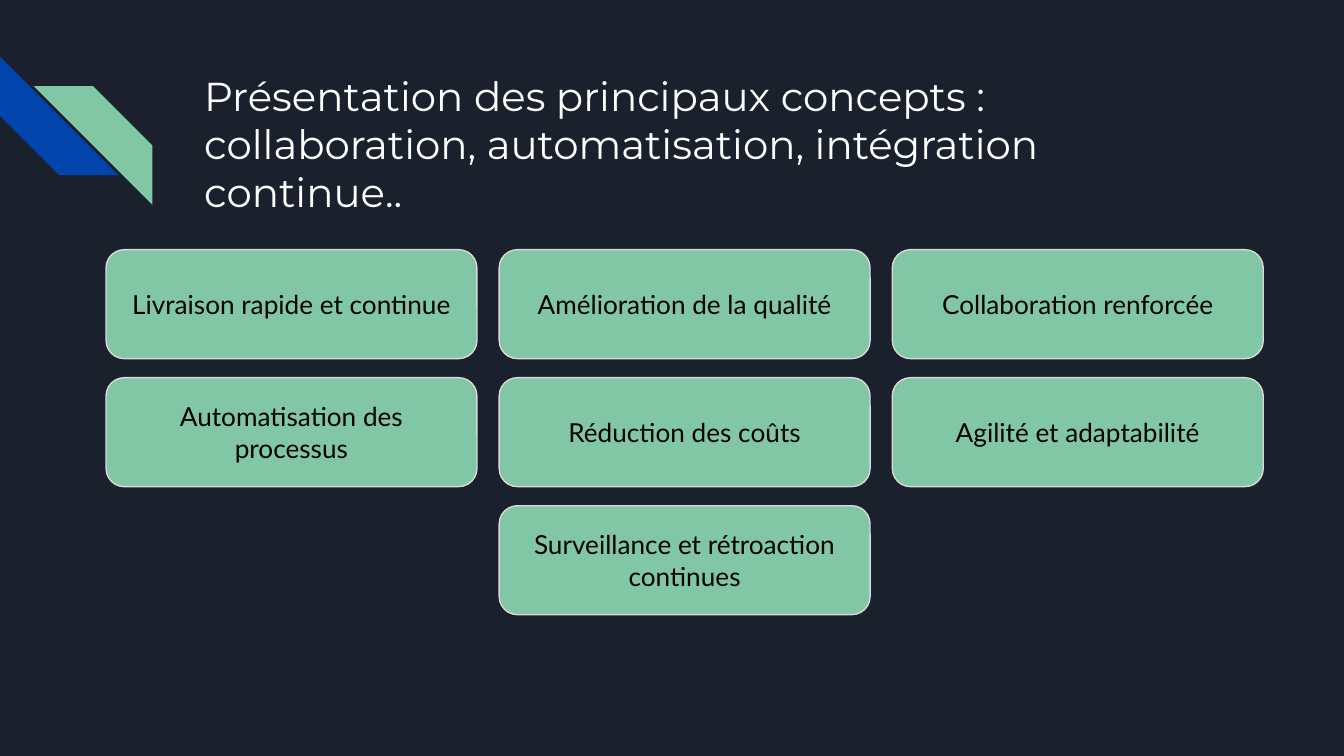
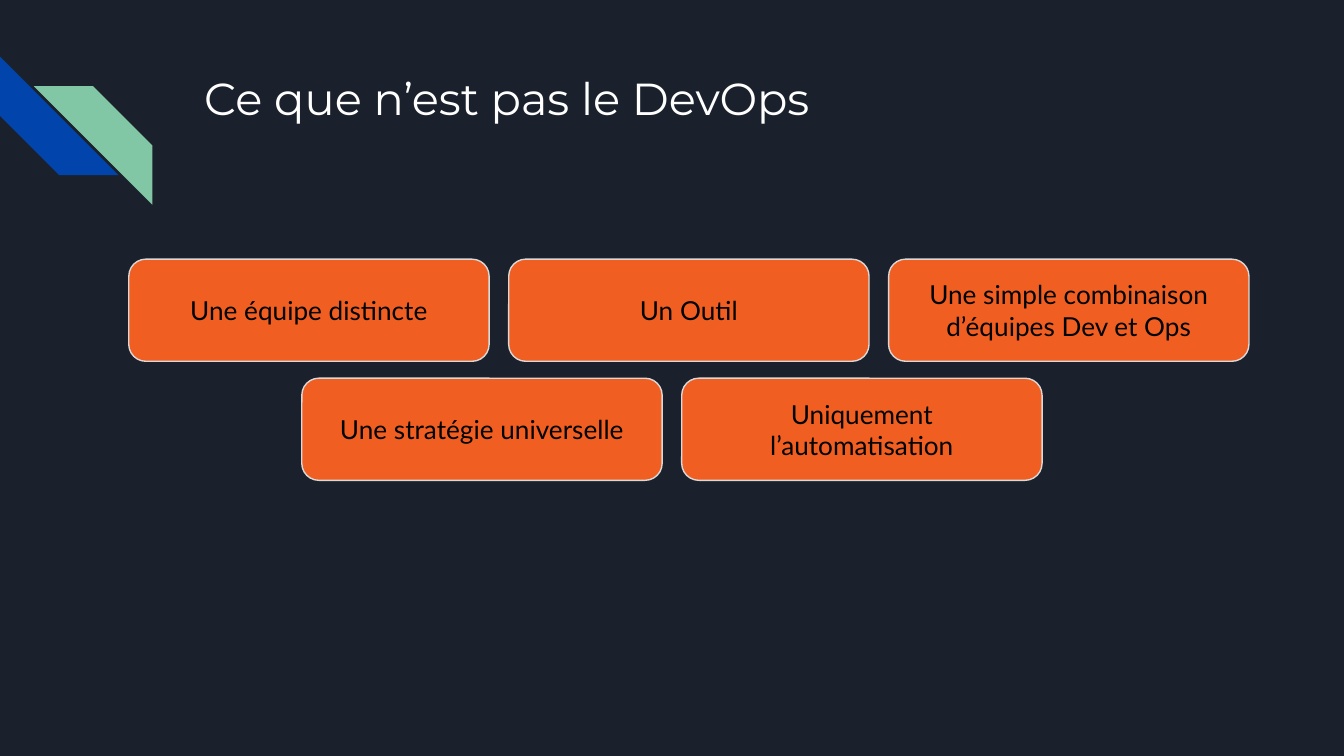
from dataclasses import dataclass

from pptx import Presentation
from pptx.dml.color import RGBColor
from pptx.enum.shapes import MSO_SHAPE
from pptx.enum.text import MSO_ANCHOR, MSO_AUTO_SIZE, PP_ALIGN
from pptx.util import Cm, Pt


@dataclass(frozen=True)
class Theme:
    background: RGBColor = RGBColor(0x1B, 0x21, 0x2C)
    blue: RGBColor = RGBColor(0x01, 0x45, 0xAC)
    green: RGBColor = RGBColor(0x82, 0xC7, 0xA5)
    orange: RGBColor = RGBColor(0xF1, 0x5E, 0x22)
    outline: RGBColor = RGBColor(0xD9, 0xD9, 0xD9)
    white: RGBColor = RGBColor(0xFF, 0xFF, 0xFF)
    black: RGBColor = RGBColor(0, 0, 0)
    title_font: str = "Montserrat"
    body_font: str = "Lato"
    title_size: float = 24
    long_title_size: float = 21.6
    card_size: float = 14


THEME = Theme()


@dataclass(frozen=True)
class CardGrid:
    """Card sizes and spacing, in centimetres."""
    top: float
    width: float
    height: float
    column_gap: float
    row_gap: float


def write_text(shape, text, *, font, size, color, align, anchor):
    frame = shape.text_frame
    frame.word_wrap = True
    frame.auto_size = MSO_AUTO_SIZE.NONE
    frame.vertical_anchor = anchor
    frame.margin_left = frame.margin_right = Cm(0.25)
    frame.margin_top = frame.margin_bottom = Cm(0.25)
    paragraph = frame.paragraphs[0]
    paragraph.alignment = align
    run = paragraph.add_run()
    run.text = text
    run.font.name = font
    run.font.size = Pt(size)
    run.font.color.rgb = color


def add_filled_shape(slide, kind, left, top, width, height, fill):
    shape = slide.shapes.add_shape(kind, Cm(left), Cm(top), Cm(width), Cm(height))
    shape.shadow.inherit = False
    shape.fill.solid()
    shape.fill.fore_color.rgb = fill
    shape.line.fill.background()
    return shape


def add_stripes(slide):
    side = 2.24
    blue = add_filled_shape(slide, MSO_SHAPE.DIAGONAL_STRIPE, 0, 1.07, side, side, THEME.blue)
    blue.rotation = 270
    green = add_filled_shape(slide, MSO_SHAPE.DIAGONAL_STRIPE, 0.64, 1.63, side, side, THEME.green)
    green.element.spPr.xfrm.set("flipH", "1")


def add_title(slide, text, size):
    title = slide.shapes.title
    title.left, title.top, title.width, title.height = Cm(3.61), Cm(1.09), Cm(19.56), Cm(2.54)
    write_text(title, text, font=THEME.title_font, size=size, color=THEME.white,
               align=PP_ALIGN.LEFT, anchor=MSO_ANCHOR.TOP)


def add_card(slide, text, left, top, width, height, fill):
    card = add_filled_shape(slide, MSO_SHAPE.ROUNDED_RECTANGLE, left, top, width, height, fill)
    card.line.color.rgb = THEME.outline
    card.line.width = Pt(0.75)
    write_text(card, text, font=THEME.body_font, size=THEME.card_size, color=THEME.black,
               align=PP_ALIGN.CENTER, anchor=MSO_ANCHOR.MIDDLE)


def add_card_rows(slide, grid, rows, fill):
    """Draw rows of cards; each row is (horizontal centre, texts)."""
    column_step = grid.width + grid.column_gap
    for row_number, (center, texts) in enumerate(rows):
        top = grid.top + row_number * (grid.height + grid.row_gap)
        first_left = center - (len(texts) * column_step - grid.column_gap) / 2
        for column, text in enumerate(texts):
            add_card(slide, text, first_left + column * column_step, top,
                     grid.width, grid.height, fill)


def add_card_slide(presentation, title, title_size, grid, rows, fill):
    slide = presentation.slides.add_slide(presentation.slide_layouts.get_by_name("Title Only"))
    add_stripes(slide)
    add_title(slide, title, title_size)
    add_card_rows(slide, grid, rows, fill)


def main():
    presentation = Presentation()
    presentation.slide_width, presentation.slide_height = Cm(25.4), Cm(14.29)
    background = presentation.slide_master.background.fill
    background.solid()
    background.fore_color.rgb = THEME.background

    concepts_center = 12.94
    add_card_slide(
        presentation,
        "Présentation des principaux concepts : collaboration, automatisation, "
        "intégration continue..",
        THEME.long_title_size,
        CardGrid(top=4.72, width=7.01, height=2.06, column_gap=0.42, row_gap=0.36),
        [
            (concepts_center, ["Livraison rapide et continue", "Amélioration de la qualité",
                               "Collaboration renforcée"]),
            (concepts_center, ["Automatisation des processus", "Réduction des coûts",
                               "Agilité et adaptabilité"]),
            (concepts_center, ["Surveillance et rétroaction continues"]),
        ],
        THEME.green,
    )
    add_card_slide(
        presentation,
        "Ce que n’est pas le DevOps",
        THEME.title_size,
        CardGrid(top=4.9, width=6.81, height=1.93, column_gap=0.37, row_gap=0.32),
        [
            (13.02, ["Une équipe distincte", "Un Outil",
                     "Une simple combinaison d’équipes Dev et Ops"]),
            (12.7, ["Une stratégie universelle", "Uniquement l’automatisation"]),
        ],
        THEME.orange,
    )
    presentation.save("out.pptx")


if __name__ == "__main__":
    main()
